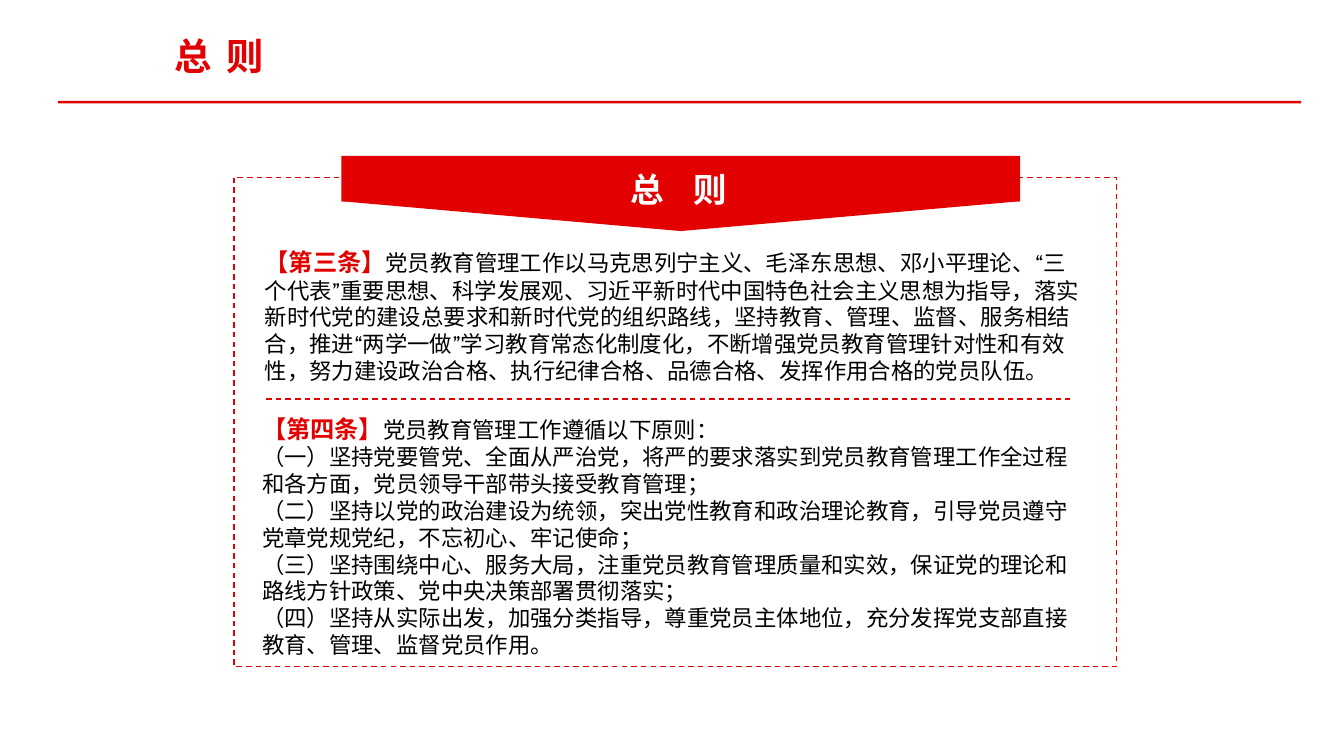
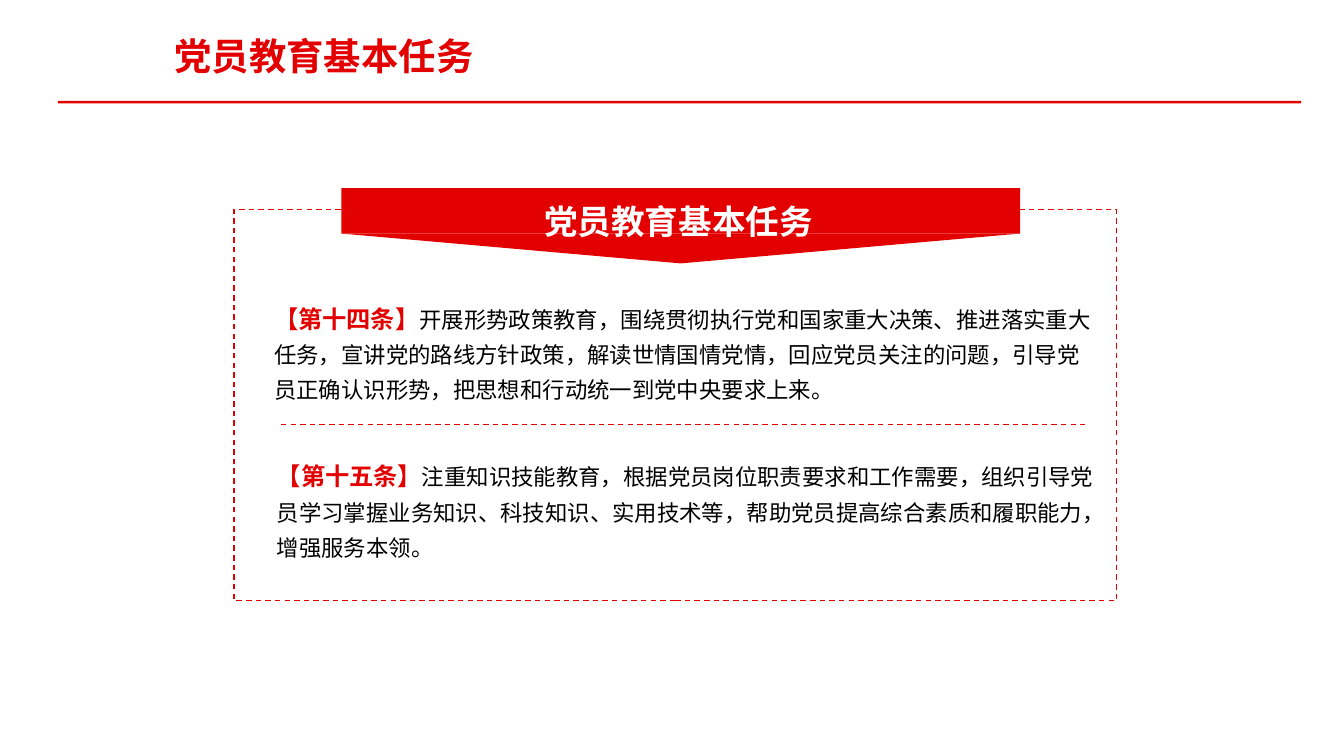
from dataclasses import dataclass

from lxml import etree
from pptx import Presentation
from pptx.dml.color import RGBColor
from pptx.enum.dml import MSO_LINE
from pptx.enum.shapes import MSO_CONNECTOR, MSO_SHAPE
from pptx.enum.text import MSO_ANCHOR, MSO_AUTO_SIZE, PP_ALIGN
from pptx.oxml.ns import qn
from pptx.util import Pt

RECTANGLE, TRIANGLE = MSO_SHAPE.RECTANGLE, MSO_SHAPE.ISOSCELES_TRIANGLE
STRAIGHT, DASH = MSO_CONNECTOR.STRAIGHT, MSO_LINE.DASH
TOP, FIT = MSO_ANCHOR.TOP, MSO_AUTO_SIZE.SHAPE_TO_FIT_TEXT
LEFT, CENTER = PP_ALIGN.LEFT, PP_ALIGN.CENTER
TWO_CONTENT_LAYOUT = 3


@dataclass(frozen=True)
class Theme:
    red: RGBColor = RGBColor(0xE2, 0x00, 0x00)
    white: RGBColor = RGBColor(0xFF, 0xFF, 0xFF)
    black: RGBColor = RGBColor(0x00, 0x00, 0x00)
    font: str = "Vollkorn"
    title_size: float = 20
    banner_size: float = 18
    label_size: float = 13
    body_size: float = 12
    line_width: float = 0.75
    narrow_insets: tuple = (5.4, 2.7)
    body_insets: tuple = (7.2, 3.6)


def add_run(paragraph, text, *, size, color, font, bold=False, tracking=0):
    """Append text; tracking is extra character spacing in points."""
    run = paragraph.add_run()
    run.text = text
    run.font.size = Pt(size)
    run.font.bold = bold
    run.font.color.rgb = color
    run.font.name = font
    properties = run.font._element
    properties.set("lang", "zh-CN")
    if tracking:
        properties.set("spc", str(int(tracking * 100)))
    east_asian = etree.SubElement(properties, qn("a:ea"))
    east_asian.set("typeface", font)


def set_paragraph(paragraph, *, align=LEFT, spacing=1.0):
    """Remove the template's bullet and indent, then align."""
    properties = paragraph._p.get_or_add_pPr()
    properties.set("marL", "0")
    properties.set("indent", "0")
    etree.SubElement(properties, qn("a:buNone"))
    paragraph.alignment = align
    paragraph.line_spacing = spacing
    paragraph.space_before = Pt(0)


class SlideBuilder:
    def __init__(self, presentation, theme):
        self.presentation = presentation
        self.theme = theme
        self.slide = None

    def start(self, title, tracking=0):
        layout = self.presentation.slide_layouts[TWO_CONTENT_LAYOUT]
        self.slide = self.presentation.slides.add_slide(layout)
        self.block(self.slide.shapes, RECTANGLE, 31, 54, 666, 1.4)
        frame = self.place(self.slide.shapes.title, 88, 15, 248, 29.5,
                           self.theme.narrow_insets)
        set_paragraph(frame.paragraphs[0])
        add_run(frame.paragraphs[0], title, size=self.theme.title_size,
                color=self.theme.red, font=self.theme.font, bold=True,
                tracking=tracking)

    def place(self, shape, left, top, width, height, insets):
        """Position a text shape and return its prepared text frame."""
        shape.left, shape.top = Pt(left), Pt(top)
        shape.width, shape.height = Pt(width), Pt(height)
        frame = shape.text_frame
        frame.word_wrap = True
        frame.auto_size = FIT
        frame.vertical_anchor = TOP
        frame.margin_left = frame.margin_right = Pt(insets[0])
        frame.margin_top = frame.margin_bottom = Pt(insets[1])
        return frame

    def block(self, shapes, kind, left, top, width, height, fill=None):
        shape = shapes.add_shape(kind, Pt(left), Pt(top), Pt(width), Pt(height))
        shape.shadow.inherit = False
        shape.fill.solid()
        shape.fill.fore_color.rgb = fill or self.theme.red
        shape.line.fill.background()
        return shape

    def dash(self, line):
        line.color.rgb = self.theme.red
        line.width = Pt(self.theme.line_width)
        line.dash_style = DASH

    def panel(self, heading, top, height, tracking=0):
        """Dashed frame with an arrow-shaped banner over its top edge."""
        shapes = self.slide.shapes
        outline = self.block(shapes, RECTANGLE, 125.3, top, 473, height,
                             self.theme.white)
        self.dash(outline.line)
        banner_top = top - 11.5
        banner = shapes.add_group_shape()
        self.block(banner.shapes, RECTANGLE, 182.9, banner_top, 363.6, 24.4)
        point = self.block(banner.shapes, TRIANGLE, 182.9, banner_top + 24.3,
                           363.6, 16)
        point.rotation = 180
        box = shapes.add_textbox(0, 0, 0, 0)
        frame = self.place(box, 196, banner_top, 335, 29.5,
                           self.theme.narrow_insets)
        set_paragraph(frame.paragraphs[0], align=CENTER, spacing=1.2)
        add_run(frame.paragraphs[0], heading, size=self.theme.banner_size,
                color=self.theme.white, font=self.theme.font, bold=True,
                tracking=tracking)

    def article(self, index, label, texts, left, top, height, spacing=1.0):
        shape = self.slide.placeholders[index]
        self.slide.shapes._spTree.append(shape._element)  # above the panel
        frame = self.place(shape, left, top, 454.3, height,
                           self.theme.body_insets)
        for number, text in enumerate(texts):
            paragraph = frame.add_paragraph() if number else frame.paragraphs[0]
            set_paragraph(paragraph, spacing=spacing)
            if number == 0:
                add_run(paragraph, label, size=self.theme.label_size,
                        color=self.theme.red, font=self.theme.font, bold=True)
            add_run(paragraph, text, size=self.theme.body_size,
                    color=self.theme.black, font=self.theme.font)

    def divider(self, left, top):
        line = self.slide.shapes.add_connector(
            STRAIGHT, Pt(left), Pt(top), Pt(left + 430.6), Pt(top))
        self.dash(line.line)
        etree.SubElement(line._element.spPr, qn("a:effectLst"))


def build_general_rules(builder):
    builder.start("总 则", tracking=2)
    builder.panel("总 则", top=95, height=262, tracking=6)
    builder.article(1, "【第三条】", [
        "党员教育管理工作以马克思列宁主义、毛泽东思想、邓小平理论、“三个代表”重要思想、"
        "科学发展观、习近平新时代中国特色社会主义思想为指导，落实新时代党的建设总要求和"
        "新时代党的组织路线，坚持教育、管理、监督、服务相结合，推进“两学一做”学习教育"
        "常态化制度化，不断增强党员教育管理针对性和有效性，努力建设政治合格、"
        "执行纪律合格、品德合格、发挥作用合格的党员队伍。",
    ], left=134.6, top=129, height=81.4)
    builder.article(2, "【第四条】", [
        "党员教育管理工作遵循以下原则：",
        "（一）坚持党要管党、全面从严治党，将严的要求落实到党员教育管理工作全过程和各方面，"
        "党员领导干部带头接受教育管理；",
        "（二）坚持以党的政治建设为统领，突出党性教育和政治理论教育，引导党员遵守党章党规党纪，"
        "不忘初心、牢记使命；",
        "（三）坚持围绕中心、服务大局，注重党员教育管理质量和实效，保证党的理论和路线方针政策、"
        "党中央决策部署贯彻落实；",
        "（四）坚持从实际出发，加强分类指导，尊重党员主体地位，充分发挥党支部直接教育、"
        "管理、监督党员作用。",
    ], left=133.2, top=218.2, height=139.7)
    builder.divider(142.6, 213.8)


def build_basic_tasks(builder):
    builder.start("党员教育基本任务")
    builder.panel("党员教育基本任务", top=112.3, height=209.5)
    builder.article(1, "【第十四条】", [
        "开展形势政策教育，围绕贯彻执行党和国家重大决策、推进落实重大任务，"
        "宣讲党的路线方针政策，解读世情国情党情，回应党员关注的问题，"
        "引导党员正确认识形势，把思想和行动统一到党中央要求上来。",
    ], left=139.7, top=154.8, height=64, spacing=1.3)
    builder.article(2, "【第十五条】", [
        "注重知识技能教育，根据党员岗位职责要求和工作需要，"
        "组织引导党员学习掌握业务知识、科技知识、实用技术等，"
        "帮助党员提高综合素质和履职能力，增强服务本领。",
    ], left=141.1, top=239, height=64, spacing=1.3)
    builder.divider(150.5, 227.5)


def main():
    presentation = Presentation()
    presentation.slide_width, presentation.slide_height = Pt(720), Pt(405)
    builder = SlideBuilder(presentation, Theme())
    build_general_rules(builder)
    build_basic_tasks(builder)
    presentation.save("out.pptx")


if __name__ == "__main__":
    main()
